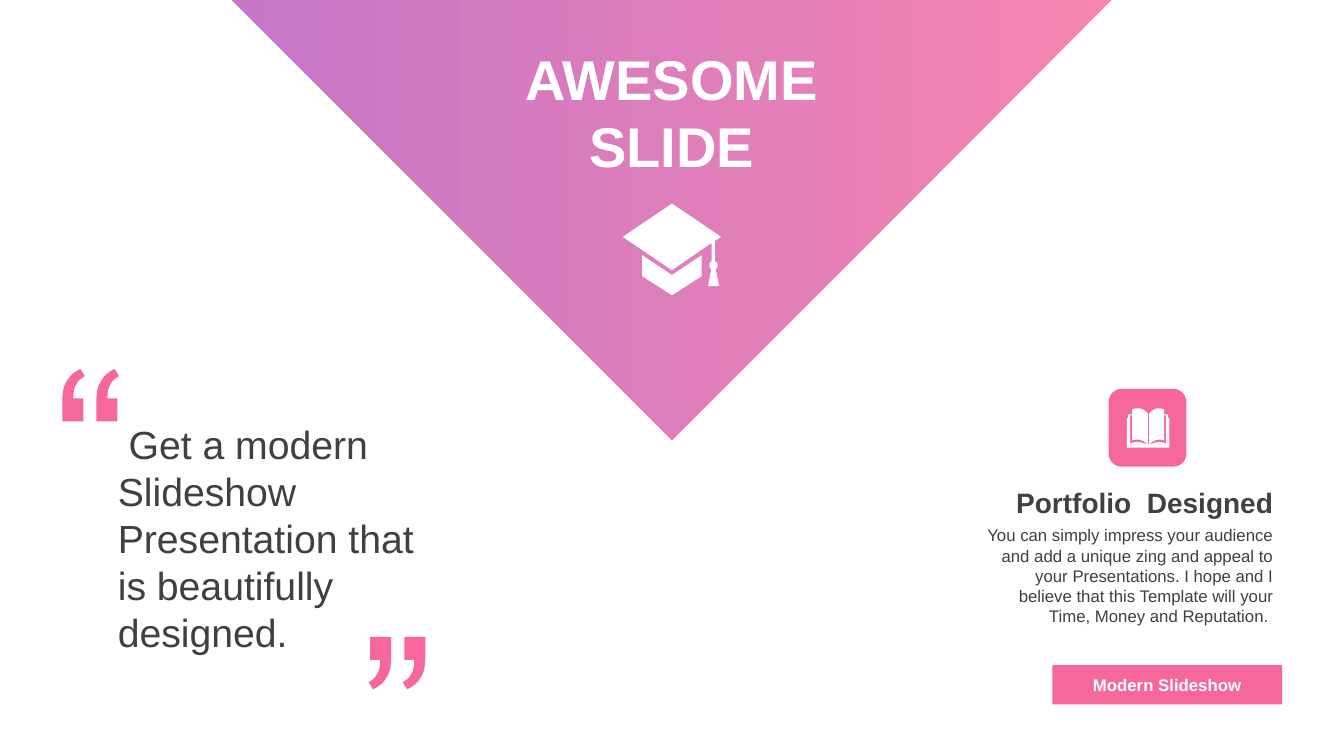
from dataclasses import dataclass

from lxml import etree
from pptx import Presentation
from pptx.dml.color import RGBColor
from pptx.enum.shapes import MSO_SHAPE
from pptx.enum.text import MSO_ANCHOR, MSO_AUTO_SIZE, PP_ALIGN
from pptx.oxml.ns import qn
from pptx.util import Cm, Pt

RECTANGLE = MSO_SHAPE.RECTANGLE
ROUNDED = MSO_SHAPE.ROUNDED_RECTANGLE
RIGHT_TRIANGLE = MSO_SHAPE.RIGHT_TRIANGLE
LEFT, CENTER, RIGHT = PP_ALIGN.LEFT, PP_ALIGN.CENTER, PP_ALIGN.RIGHT
TOP, MIDDLE = MSO_ANCHOR.TOP, MSO_ANCHOR.MIDDLE
GROW, FIXED = MSO_AUTO_SIZE.SHAPE_TO_FIT_TEXT, MSO_AUTO_SIZE.NONE

FONT = "Arial"
PINK, PURPLE, DARK, WHITE = "F5679D", "B754BA", "404040", "FFFFFF"
SLIDE_WIDTH, SLIDE_HEIGHT = 33.87, 19.05
TRIANGLE_SIDE = 15.67
QUOTE_MARK_GAP = 0.86

Segment = tuple[float, ...]
Contour = list[Segment]

QUOTE_MARK: Contour = [
    (0.46, 0), (0.57, 0.18),
    (0.48, 0.23, 0.41, 0.28, 0.36, 0.38), (0.3, 0.46, 0.28, 0.58, 0.28, 0.74),
    (0.53, 0.74), (0.53, 1.32), (0, 1.32), (0, 0.86),
    (0, 0.61, 0.03, 0.43, 0.1, 0.33), (0.18, 0.18, 0.28, 0.08, 0.46, 0),
]
CAP_BASE: Contour = [
    (-0.75, 1.3), (0, 1.8), (0.75, 1.3), (0.75, 1.83), (0, 2.31), (-0.75, 1.83),
]
CAP_BOARD: Contour = [
    (0, 0), (1.24, 0.84), (1.08, 0.94), (1.08, 1.45),
    (1.12, 1.47, 1.15, 1.5, 1.15, 1.55), (1.15, 1.6, 1.13, 1.63, 1.1, 1.65),
    (1.19, 2.08), (0.91, 2.08), (0.99, 1.65),
    (0.97, 1.63, 0.94, 1.6, 0.94, 1.55), (0.94, 1.5, 0.97, 1.47, 1, 1.45),
    (1, 0.99), (0, 1.68), (-1.24, 0.84),
]
BOOK: Contour = [
    (0.53, 0.91), (0.56, 0.91), (0.74, 0.86, 0.81, 0.81, 0.99, 0.89),
    (0.99, 0.18), (0.94, 0.18), (0.94, 0.81),
    (0.81, 0.76, 0.69, 0.79, 0.56, 0.91), (0.56, 0.13),
    (0.64, 0.05, 0.71, 0, 0.79, 0), (0.84, 0, 0.89, 0, 0.94, 0.03),
    (0.94, 0.15), (1.04, 0.15), (1.04, 0.25), (1.07, 0.25), (1.07, 0.99),
    (0, 0.99), (0, 0.25), (0.03, 0.25), (0.03, 0.15), (0.13, 0.15), (0.13, 0.03),
    (0.18, 0, 0.23, 0, 0.28, 0), (0.38, 0, 0.46, 0.05, 0.53, 0.13),
    (0.53, 0.91), (0.41, 0.79, 0.25, 0.76, 0.13, 0.81),
    (0.13, 0.18), (0.08, 0.18), (0.08, 0.89),
    (0.25, 0.81, 0.36, 0.86, 0.53, 0.91),
]


@dataclass
class Box:
    left: float
    top: float
    width: float
    height: float


@dataclass
class Label:
    box: Box
    lines: list[str]
    size: float
    color: str = DARK
    bold: bool = False
    align: PP_ALIGN = LEFT
    anchor: MSO_ANCHOR = TOP
    auto_size: MSO_AUTO_SIZE = GROW
    line_spacing: float = 1.0


@dataclass
class Icon:
    x: float
    y: float
    contours: list[Contour]
    color: str
    direction: int = 1


def rgb(value: str) -> RGBColor:
    return RGBColor.from_string(value)


def lengths(box: Box) -> list[Cm]:
    return [Cm(value) for value in (box.left, box.top, box.width, box.height)]


def paint(shape, color: str) -> None:
    shape.fill.solid()
    shape.fill.fore_color.rgb = rgb(color)
    shape.line.fill.background()
    shape.shadow.inherit = False


def add_block(slide, kind: MSO_SHAPE, box: Box):
    shape = slide.shapes.add_shape(kind, *lengths(box))
    paint(shape, PINK)
    return shape


def add_triangle(slide) -> None:
    half = TRIANGLE_SIDE / 2
    box = Box(SLIDE_WIDTH / 2 - half, -half, TRIANGLE_SIDE, TRIANGLE_SIDE)
    triangle = add_block(slide, RIGHT_TRIANGLE, box)
    triangle.rotation = 315
    triangle.fill.gradient()
    triangle.fill.gradient_angle = 135
    for stop, color in zip(triangle.fill.gradient_stops, (PINK, PURPLE)):
        stop.color.rgb = rgb(color)
    for color_element in triangle.element.spPr.iter(qn("a:srgbClr")):
        etree.SubElement(color_element, qn("a:alpha")).set("val", "80000")


def write_text(shape, label: Label) -> None:
    frame = shape.text_frame
    frame.word_wrap = True
    frame.auto_size = label.auto_size
    frame.vertical_anchor = label.anchor
    for index, line in enumerate(label.lines):
        paragraph = frame.add_paragraph() if index else frame.paragraphs[0]
        paragraph.alignment = label.align
        paragraph.line_spacing = label.line_spacing
        run = paragraph.add_run()
        run.text = line
        run.font.name = FONT
        run.font.size = Pt(label.size)
        run.font.bold = label.bold
        run.font.color.rgb = rgb(label.color)


def flatten(contour: Contour, steps: int = 8) -> list[tuple[float, float]]:
    points = []
    for segment in contour:
        if len(segment) == 2:
            points.append(segment)
            continue
        start = points[-1]
        controls = [start, segment[:2], segment[2:4], segment[4:]]
        for step in range(1, steps + 1):
            t = step / steps
            weights = ((1 - t) ** 3, 3 * t * (1 - t) ** 2, 3 * t * t * (1 - t), t**3)
            points.append(tuple(
                sum(weight * point[axis] for weight, point in zip(weights, controls))
                for axis in (0, 1)
            ))
    return points


def shift(contour: Contour, distance: float) -> Contour:
    return [
        tuple(value + distance * (index % 2 == 0) for index, value in enumerate(segment))
        for segment in contour
    ]


def add_icon(slide, icon: Icon) -> None:
    outlines = [
        [(Cm(icon.x + icon.direction * x), Cm(icon.y + icon.direction * y))
         for x, y in flatten(contour)]
        for contour in icon.contours
    ]
    builder = slide.shapes.build_freeform(*outlines[0][0])
    for index, outline in enumerate(outlines):
        if index:
            builder.move_to(*outline[0])
        builder.add_line_segments(outline[1:], close=True)
    paint(builder.convert_to_shape(), icon.color)


QUOTE_MARKS = [QUOTE_MARK, shift(QUOTE_MARK, QUOTE_MARK_GAP)]
ICONS = [
    Icon(1.57, 9.3, QUOTE_MARKS, PINK),
    Icon(10.72, 17.37, QUOTE_MARKS, PINK, direction=-1),
    Icon(28.4, 10.29, [BOOK], WHITE),
    Icon(SLIDE_WIDTH / 2, 5.13, [CAP_BASE, CAP_BOARD], WHITE),
]
LABELS = [
    Label(Box(12.95, 0.97, 7.95, 3.68), ["AWESOME", "SLIDE"], 40, WHITE, True, CENTER, MIDDLE),
    Label(Box(2.72, 10.46, 8, 6.25),
          [" Get a modern Slideshow Presentation that is beautifully designed."], 28),
    Label(Box(24.49, 12.12, 7.85, 0.99), ["Portfolio  Designed"], 20, DARK, True,
          RIGHT, MIDDLE, FIXED, 1.1),
    Label(Box(24.49, 13.11, 7.85, 2.82),
          ["You can simply impress your audience and add a unique zing and appeal to your "
           "Presentations. I hope and I believe that this Template will your Time, Money "
           "and Reputation. "], 12, align=RIGHT),
]
BUTTON = Label(Box(26.52, 16.76, 5.79, 0.99), ["Modern Slideshow"], 12, WHITE, True,
               CENTER, MIDDLE, FIXED)


def main() -> None:
    presentation = Presentation()
    presentation.slide_width = Cm(SLIDE_WIDTH)
    presentation.slide_height = Cm(SLIDE_HEIGHT)
    slide = presentation.slides.add_slide(presentation.slide_layouts[6])
    add_triangle(slide)
    for label in LABELS:
        write_text(slide.shapes.add_textbox(*lengths(label.box)), label)
    write_text(add_block(slide, RECTANGLE, BUTTON.box), BUTTON)
    add_block(slide, ROUNDED, Box(27.94, 9.8, 1.96, 1.96))
    for icon in ICONS:
        add_icon(slide, icon)
    presentation.save("out.pptx")


if __name__ == "__main__":
    main()
